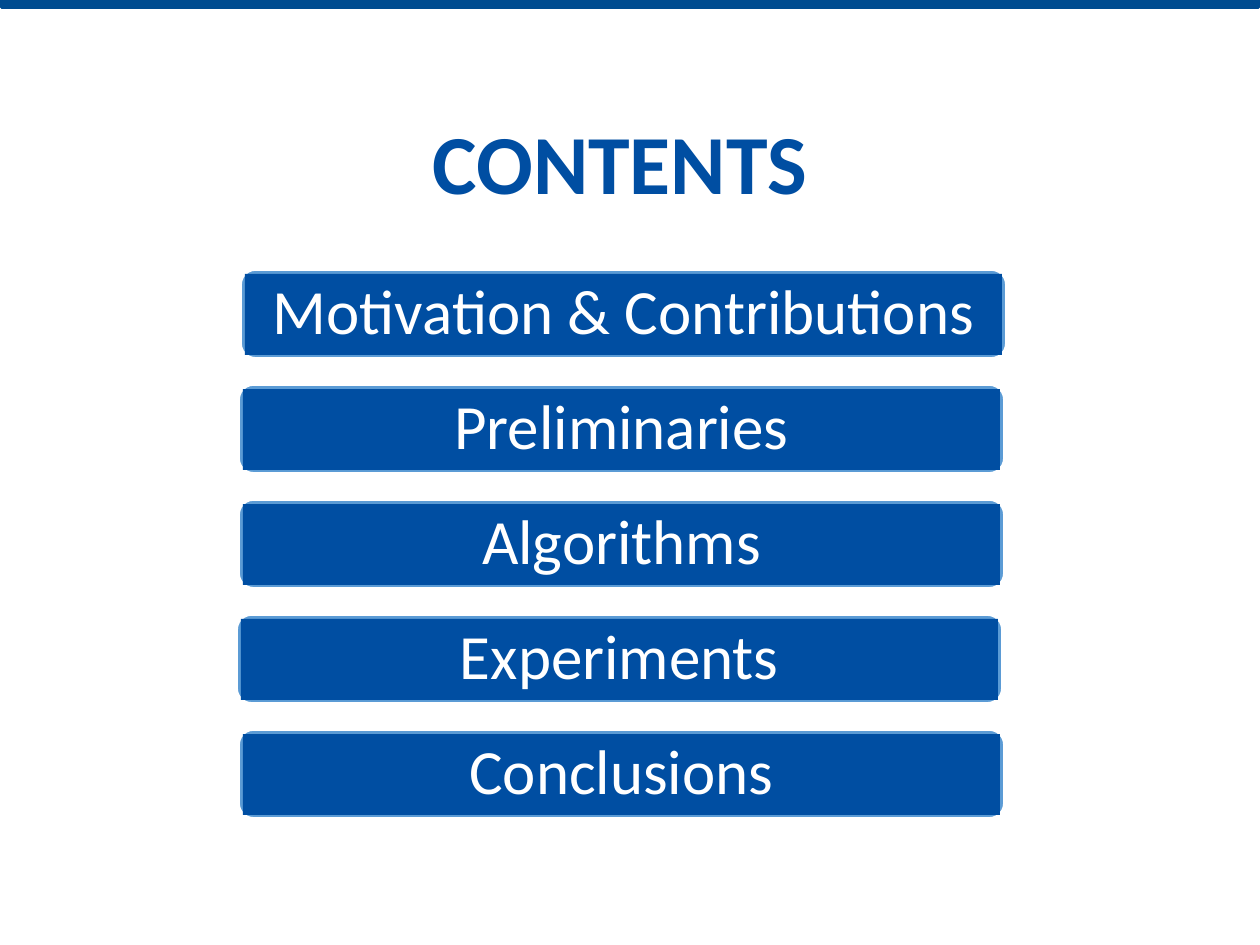
from pptx import Presentation
from pptx import util as u
from pptx.dml.color import RGBColor
from pptx.enum import shapes, text

# Content: topic and left edge of its bar
TITLE = "CONTENTS"
TOPICS = [
    ("Motivation & Contributions", 241),
    ("Preliminaries", 239),
    ("Algorithms", 239),
    ("Experiments", 237),
    ("Conclusions", 239),
]

BAND = RGBColor(0x00, 0x4C, 0x90)
NAVY = RGBColor(0x00, 0x4E, 0xA2)
SKY = RGBColor(0x5B, 0x9B, 0xD5)
WHITE = RGBColor(0xFF, 0xFF, 0xFF)

SCALE = 914400 / 126
TOP, PITCH = 270, 115
BAR_W, BAR_H, INSET = 765, 88, 4
LABEL_W, LABEL_H, PAD = 757, 81, 23


def px(n):
    return u.Emu(round(n * SCALE))


def add_block(s, kind, box, fill, line=None):
    sp = s.shapes.add_shape(kind, *map(px, box))
    sp.shadow.inherit = False
    sp.fill.solid()
    sp.fill.fore_color.rgb = fill
    if line is None:
        sp.line.fill.background()
    else:
        sp.line.color.rgb = line
        sp.line.width = u.Pt(1)
    return sp


def set_text(tf, words, color, **font):
    p = tf.paragraphs[0]
    p.alignment = text.PP_ALIGN.CENTER
    p.line_spacing = 0.9
    r = p.add_run()
    r.text = words
    r.font.color.rgb = color
    for name, value in {"name": "Calibri", **font}.items():
        setattr(r.font, name, value)


prs = Presentation()
prs.slide_width, prs.slide_height = px(1260), px(945)
s = prs.slides.add_slide(prs.slide_layouts[6])

# Band along the top edge
band = add_block(s, shapes.MSO_SHAPE.SNIP_2_SAME_RECTANGLE, (0, 0, 1260, 9), BAND)
band.rotation = 180

# Title
tf = s.shapes.add_textbox(*map(px, (418, 116, 404, 105))).text_frame
tf.word_wrap = False
tf.auto_size = text.MSO_AUTO_SIZE.SHAPE_TO_FIT_TEXT
set_text(tf, TITLE, NAVY, size=u.Pt(48), bold=True)

# Topic bars: rounded frame with a label on it
for i, (topic, left) in enumerate(TOPICS):
    top = TOP + i * PITCH
    add_block(s, shapes.MSO_SHAPE.ROUNDED_RECTANGLE,
              (left, top, BAR_W, BAR_H), SKY, WHITE)
    label = add_block(s, shapes.MSO_SHAPE.RECTANGLE,
                      (left + INSET, top + INSET, LABEL_W, LABEL_H), NAVY)
    tf = label.text_frame
    frame = {"margin_left": px(PAD), "margin_right": px(PAD),
             "margin_top": 0, "margin_bottom": 0, "word_wrap": True,
             "vertical_anchor": text.MSO_ANCHOR.MIDDLE}
    for name, value in frame.items():
        setattr(tf, name, value)
    set_text(tf, topic, WHITE, size=u.Pt(36))

prs.save("out.pptx")
